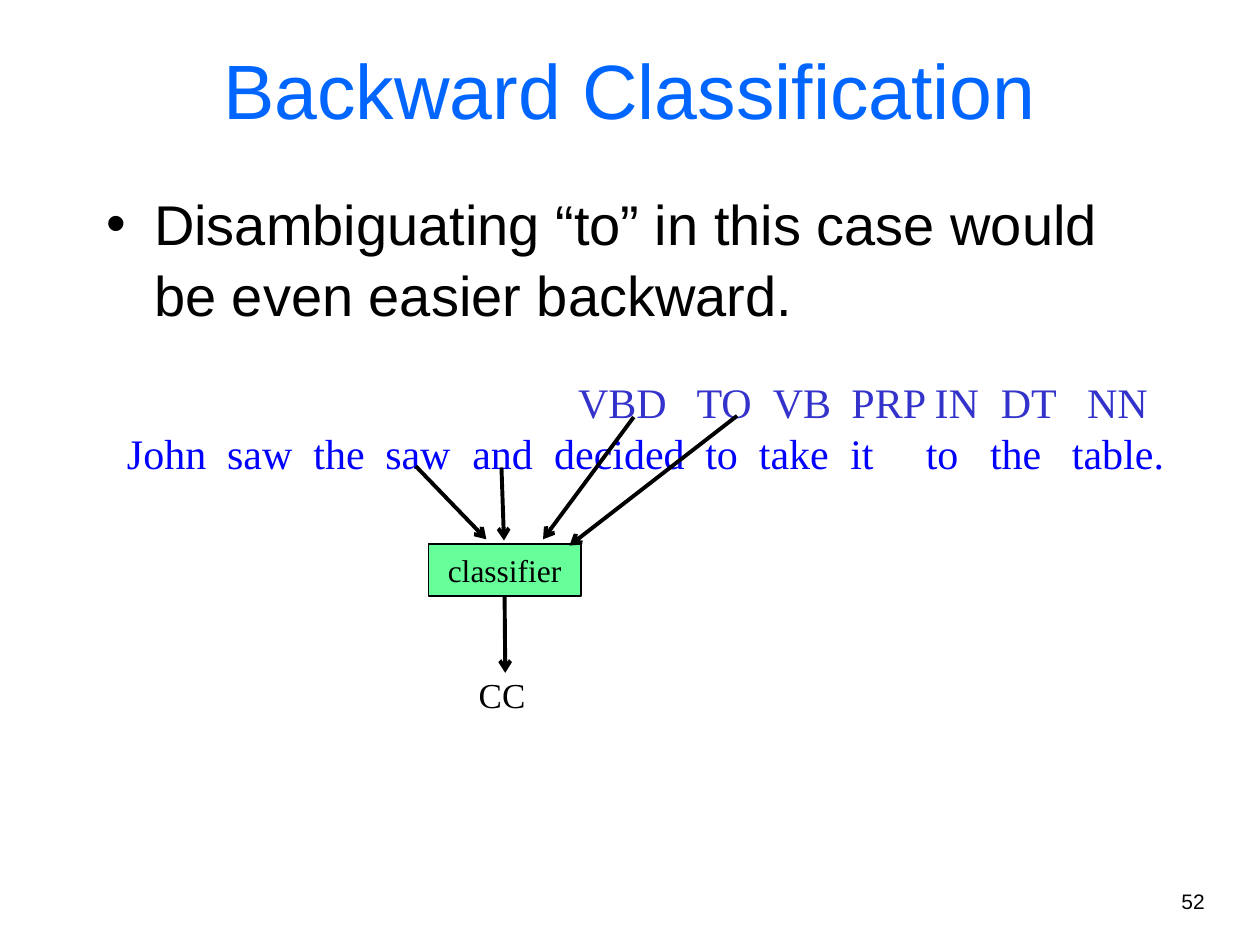
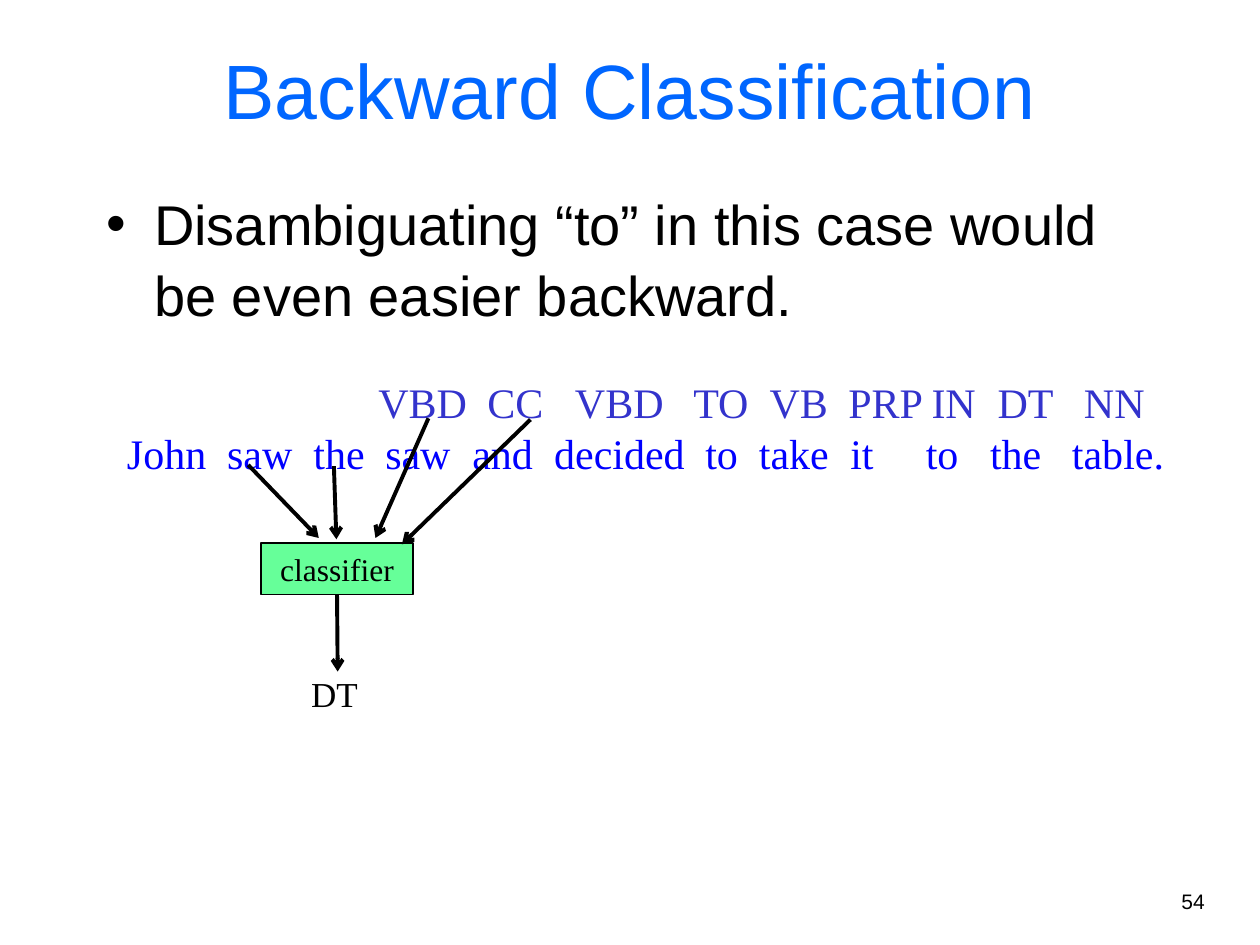
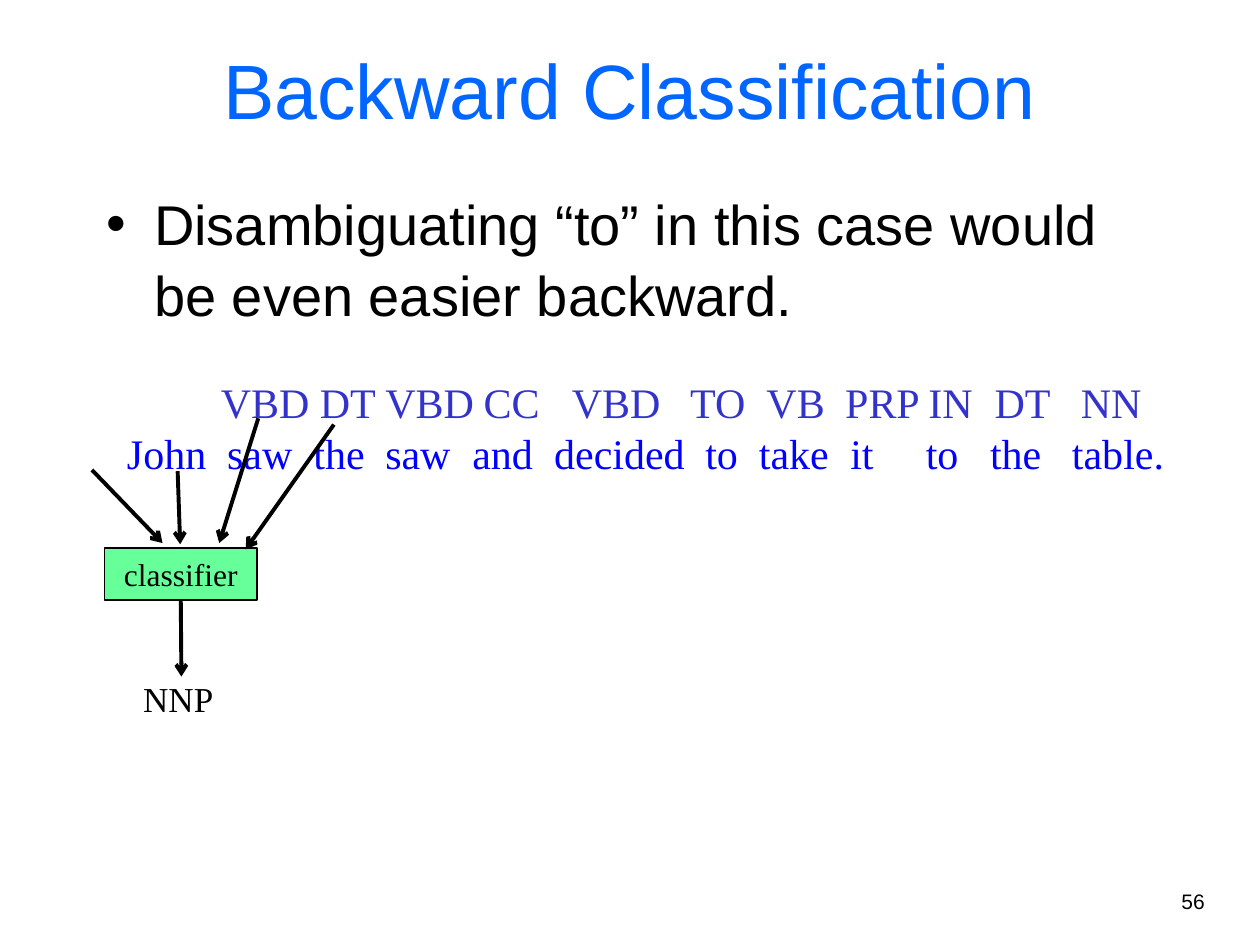
from lxml.etree import SubElement
from pptx import Presentation
from pptx.dml.color import RGBColor
from pptx.enum.shapes import MSO_CONNECTOR, MSO_SHAPE
from pptx.enum.text import MSO_ANCHOR, PP_ALIGN
from pptx.oxml.ns import qn
from pptx.util import Inches, Pt

COLORS = {"title": "0066FF", "ink": "000000", "tag": "3333CC",
          "word": "0000FF", "classifier": "66FF99"}
SANS, SERIF = "Arial", "Times New Roman"
CELL = 0.25  # inches: the slide is a grid of 40 columns by 30 rows

SENTENCE = ["John", "saw", "the", "saw", "and", "decided",
            "to", "take", "it", "to", "the", "table."]
WORD_STOPS = [3.18, 5.92, 8.2, 10.96, 13.56, 18.36, 20.06, 22.96, 25.36, 27.4, 30]

# Tags already assigned when the first step begins
KNOWN_TAGS = ["VBD", "TO", "VB", "PRP", "IN", "DT", "NN"]
KNOWN_STOPS = [14.32, 18.08, 20.5, 23, 25.64, 27.74, 30.48]
TAG_DRIFT = 0.1  # the known tags move left by this much at each step

# Per step: number, newly known tags and stops, classifier corner,
# starts of the two tag arrows, resulting tag
STEPS = [
    (52, [], [], (13.6, 17.28), [(20.12, 13.24), (23.4, 13.2)], "CC"),
    (54, ["VBD", "CC"], [7.98, 11.44], (8.28, 17.24),
     [(13.6, 13.28), (16.84, 13.32)], "DT"),
    (56, ["VBD", "DT", "VBD", "CC"], [2.98, 6.12, 8.2, 11.32], (3.32, 17.4),
     [(8.2, 13.28), (10.6, 13.48)], "NNP"),
]

# Arrow geometry, counted from the classifier's top left corner
WORD_ARROWS = [((-0.4, -2.48), (1.84, -0.16)), ((2.32, -2.44), (2.4, -0.12))]
TAG_ARROW_ENDS = [(3.64, -0.16), (4.48, 0.04)]
RESULT_ARROW = ((2.36, 1.72), (2.44, 4.08))


def grid(cells):
    return Inches(cells * CELL)


class Deck:
    def __init__(self):
        self.prs = Presentation()
        self.prs.slide_width, self.prs.slide_height = grid(40), grid(30)
        self.slide = None

    def new_slide(self):
        self.slide = self.prs.slides.add_slide(self.prs.slide_layouts[6])

    def style(self, paragraph, size, font, color, align=PP_ALIGN.LEFT):
        paragraph.alignment = align
        for run in paragraph.runs:
            run.font.size, run.font.name = Pt(size), font
            run.font.color.rgb = RGBColor.from_string(COLORS[color])

    def text(self, place, words, size, font=SANS, color="ink",
             align=PP_ALIGN.LEFT, anchor=MSO_ANCHOR.TOP):
        frame = self.slide.shapes.add_textbox(*map(grid, place)).text_frame
        frame.word_wrap, frame.vertical_anchor = True, anchor
        frame.text = words
        for paragraph in frame.paragraphs:
            self.style(paragraph, size, font, color, align)
        return frame

    def bullet(self, place, words, size):
        paragraph = self.text(place, words, size).paragraphs[0]
        paragraph.line_spacing = 1.06
        props = paragraph._p.get_or_add_pPr()
        props.set("marL", str(grid(1.5)))
        props.set("indent", str(-grid(1.5)))
        SubElement(props, qn("a:buFont"), typeface=SANS)
        SubElement(props, qn("a:buChar"), char="•")

    def tabbed_lines(self, place, lines, size):
        frame = self.text(place, "\n".join(words for words, _, _ in lines), size)
        for paragraph, (_, stops, color) in zip(frame.paragraphs, lines):
            tabs = SubElement(paragraph._p.get_or_add_pPr(), qn("a:tabLst"))
            for stop in stops:
                SubElement(tabs, qn("a:tab"), pos=str(grid(stop)), algn="l")
            self.style(paragraph, size, SERIF, color)

    def box(self, place, words, size, fill):
        box = self.slide.shapes.add_shape(MSO_SHAPE.RECTANGLE, *map(grid, place))
        box.shadow.inherit = False
        box.fill.solid()
        box.fill.fore_color.rgb = RGBColor.from_string(COLORS[fill])
        box.line.color.rgb = RGBColor.from_string(COLORS["ink"])
        box.line.width = Pt(1)
        box.text_frame.text = words
        box.text_frame.vertical_anchor = MSO_ANCHOR.MIDDLE
        self.style(box.text_frame.paragraphs[0], size, SERIF, "ink", PP_ALIGN.CENTER)
        return box

    def arrow(self, start, end):
        arrow = self.slide.shapes.add_connector(
            MSO_CONNECTOR.STRAIGHT, *map(grid, (*start, *end)))
        arrow.line.color.rgb = RGBColor.from_string(COLORS["ink"])
        arrow.line.width = Pt(2.25)
        SubElement(arrow.line._get_or_add_ln(), qn("a:tailEnd"), type="arrow")
        SubElement(arrow._element.spPr, qn("a:effectLst"))
        return arrow

    def frame_slide(self, number):
        self.text((30.32, 28, 8.32, 2), str(number), 12, align=PP_ALIGN.RIGHT)
        self.text((3, 0.32, 34, 5), "Backward Classification", 44, color="title",
                  align=PP_ALIGN.CENTER, anchor=MSO_ANCHOR.MIDDLE)
        self.bullet((3, 5.68, 34, 21), "Disambiguating “to” in this case "
                    "would be even easier backward.", 32)


def main():
    deck = Deck()
    for step, (number, new_tags, new_stops, corner, tag_starts, result) in enumerate(STEPS):
        deck.new_slide()
        deck.frame_slide(number)

        def from_corner(point):
            return corner[0] + point[0], corner[1] + point[1]

        # Tagged sentence
        tags = "".join("\t" + tag for tag in new_tags + KNOWN_TAGS)
        tag_stops = new_stops + [stop - step * TAG_DRIFT for stop in KNOWN_STOPS]
        deck.tabbed_lines((3.64, 11.76, 34.8, 3.6),
                          [(tags, tag_stops, "tag"),
                           ("\t".join(SENTENCE), WORD_STOPS, "word")], 24)

        # Classifier with its inputs
        classifier = deck.box((*corner, 4.84, 1.64), "classifier", 18, "classifier")
        for start, end in WORD_ARROWS:
            deck.arrow(from_corner(start), from_corner(end))
        for start, end in zip(tag_starts, TAG_ARROW_ENDS):
            deck.arrow(start, from_corner(end))

        # Resulting tag
        deck.arrow(*map(from_corner, RESULT_ARROW)).begin_connect(classifier, 2)
        deck.text((*from_corner((0.8, 3.92)), 3.08, 1.72), result, 20, SERIF,
                  align=PP_ALIGN.CENTER)
    deck.prs.save("out.pptx")


if __name__ == "__main__":
    main()
